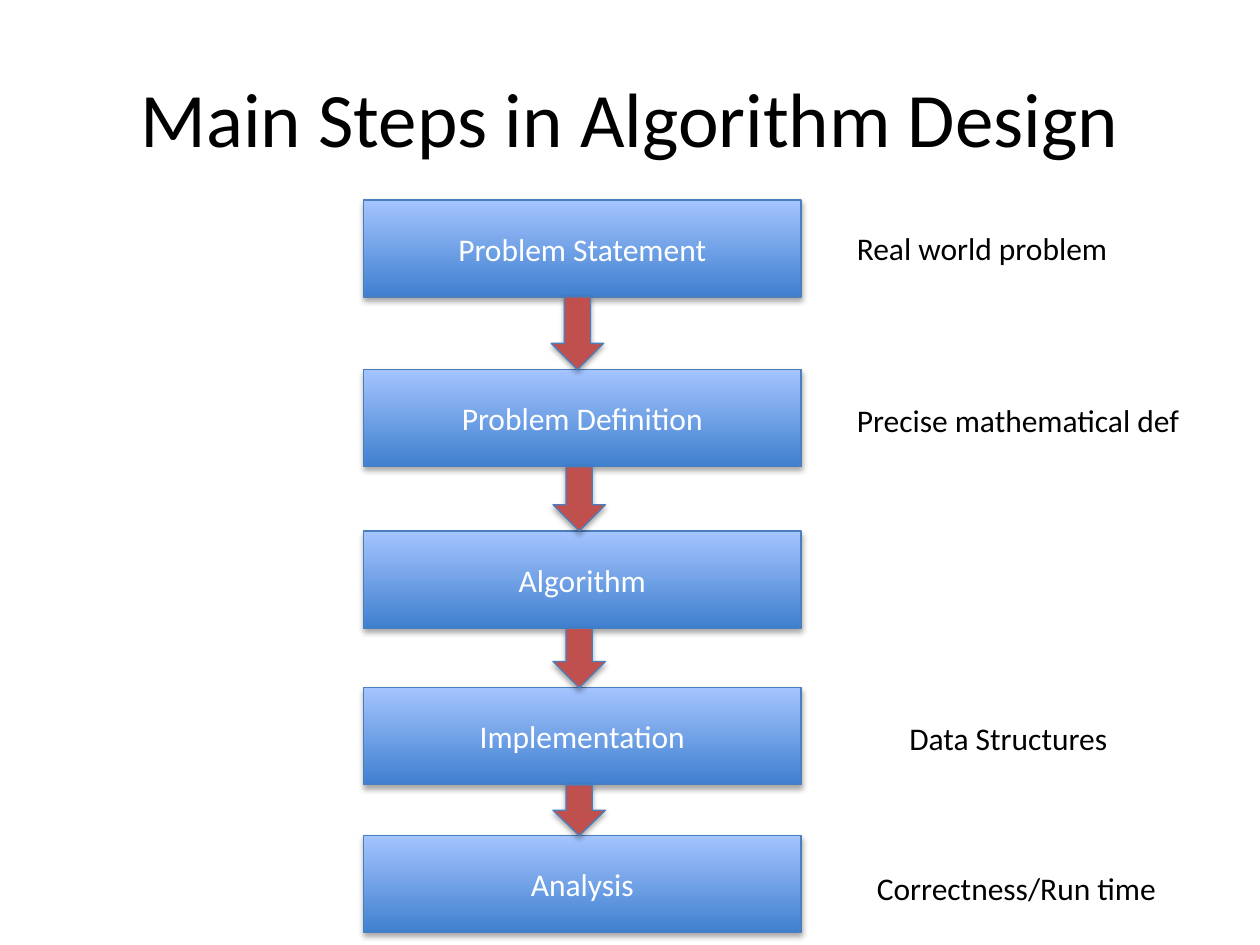
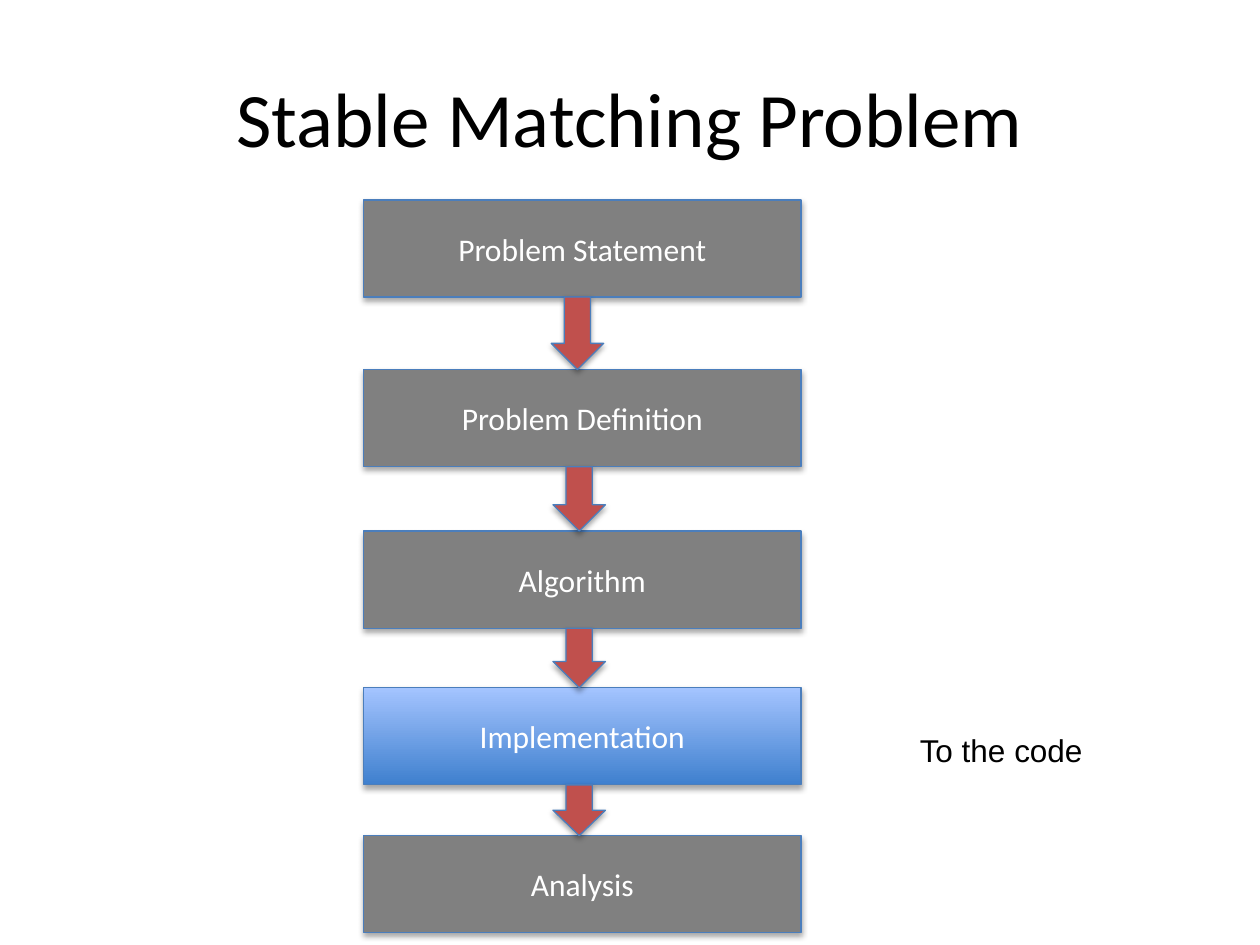
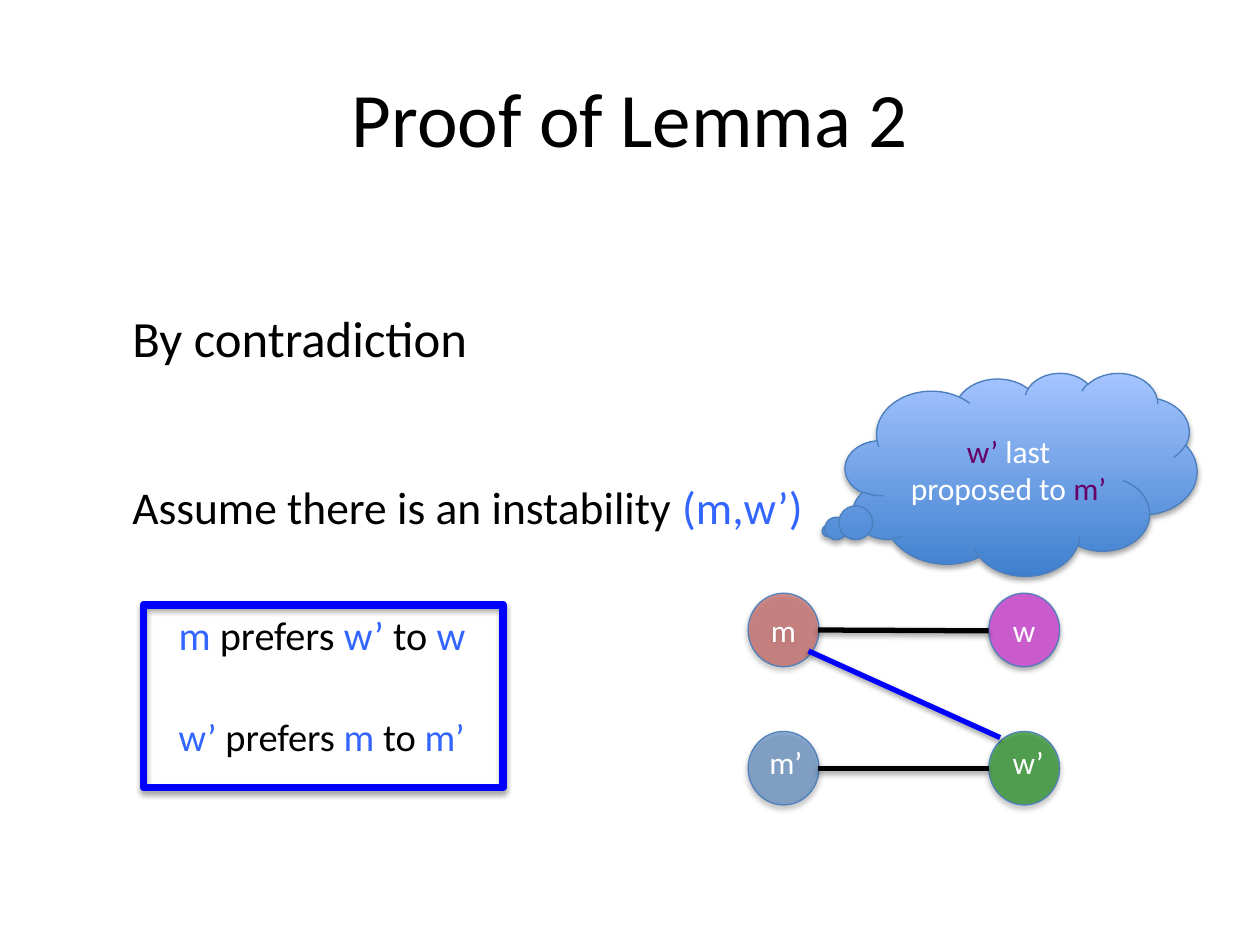
"""Build three slides on algorithm design and the stable matching proof."""
from lxml.etree import SubElement
from pptx import Presentation
from pptx.dml.color import RGBColor
from pptx.enum.shapes import MSO_CONNECTOR, MSO_SHAPE
from pptx.enum.text import MSO_ANCHOR, MSO_AUTO_SIZE, PP_ALIGN
from pptx.oxml.ns import qn
from pptx.util import Pt

BLACK, WHITE = "000000", "FFFFFF"
OUTLINE, ARROW, GREY = "4B7EBC", "C0504D", "808080"
GRADIENT = ("3F80CE", "A4C4FF")
VARIABLE, PURPLE, HIGHLIGHT = "3366FF", "660066", "0000FF"


def paint(fill, *colours):
    """Fill solidly with one hex colour, or upwards from the first of two to the second."""
    if len(colours) == 1:
        fill.solid()
        fill.fore_color.rgb = RGBColor.from_string(colours[0])
        return
    fill.gradient()
    fill.gradient_angle = 90
    for stop, colour in zip(fill.gradient_stops, colours):
        stop.color.rgb = RGBColor.from_string(colour)


def write(target, size, runs, font="Calibri"):
    """Add (text, colour) runs to the first paragraph of a shape."""
    paragraph = target.text_frame.paragraphs[0]
    for text, colour in runs:
        run = paragraph.add_run()
        run.text = text
        run.font.size = Pt(size)
        run.font.name = font
        paint(run.font.fill, colour)


deck = Presentation()
deck.slide_width, deck.slide_height = Pt(720), Pt(540)

slides = []
for heading in ("Main Steps in Algorithm Design", "Stable Matching Problem", "Proof of Lemma 2"):
    slide = deck.slides.add_slide(deck.slide_layouts[5])
    title = slide.shapes.title
    title.left, title.top, title.width, title.height = Pt(36), Pt(21.6), Pt(648), Pt(90)
    title.text_frame.vertical_anchor = MSO_ANCHOR.MIDDLE
    title.text_frame.paragraphs[0].alignment = PP_ALIGN.CENTER
    write(title, 44, [(heading, BLACK)])
    slides.append(slide)
steps_slide, matching_slide, proof_slide = slides

STEP_HEIGHT = 55.5
STEPS = [("Problem Statement", 114.25), ("Problem Definition", 211.25), ("Algorithm", 303.5),
         ("Implementation", 393), ("Analysis", 477.5)]
for slide, active in ((steps_slide, [name for name, top in STEPS]),
                      (matching_slide, ["Implementation"])):
    for name, top in STEPS:
        step = slide.shapes.add_shape(MSO_SHAPE.RECTANGLE, Pt(207.75), Pt(top), Pt(250), Pt(STEP_HEIGHT))
        paint(step.fill, *(GRADIENT if name in active else [GREY]))
        paint(step.line.fill, OUTLINE)
        step.line.width = Pt(0.75)
        write(step, 18, [(name, WHITE)])
    for index, ((name, top), (following, end)) in enumerate(zip(STEPS, STEPS[1:])):
        start = top + STEP_HEIGHT
        arrow = slide.shapes.add_shape(MSO_SHAPE.DOWN_ARROW, Pt(316 if index else 315), Pt(start),
                                       Pt(30), Pt(end - start))
        paint(arrow.fill, ARROW)
        paint(arrow.line.fill, OUTLINE)
        arrow.line.width = Pt(0.75)

PEOPLE = [("m", 427.5, 339, ARROW, 60), ("m’", 427.5, 418, "4F81BD", 60),
          ("w’", 565, 418, "008000", 60), ("w", 565, 339, "C95BCD", 100)]
for name, left, top, colour, opacity in PEOPLE:
    person = proof_slide.shapes.add_shape(MSO_SHAPE.OVAL, Pt(left), Pt(top), Pt(40.5), Pt(42))
    paint(person.fill, colour)
    paint(person.line.fill, OUTLINE)
    person.line.width = Pt(0.75)
    for tint, percent in zip(person.element.spPr.iter(qn("a:srgbClr")), (opacity, 94)):
        SubElement(tint, qn("a:alpha")).set("val", str(percent * 1000))
    if len(name) == 1:
        write(person, 18, [(name, WHITE)])

for x1, y1, x2, y2, colour in ((467.5, 360, 565, 360.5, BLACK), (467.5, 439, 565, 439, BLACK),
                               (462, 372, 571.5, 421.5, HIGHLIGHT)):
    pair = proof_slide.shapes.add_connector(MSO_CONNECTOR.STRAIGHT, Pt(x1), Pt(y1), Pt(x2), Pt(y2))
    paint(pair.line.fill, colour)
    pair.line.width = Pt(3)

LABELS = [
    (steps_slide, 482.5, 127.5, 171.5, 29, 18, "Calibri", [("Real world problem", BLACK)]),
    (steps_slide, 482.5, 225.5, 222.5, 29, 18, "Calibri", [("Precise mathematical def", BLACK)]),
    (steps_slide, 512.5, 407.5, 140.5, 29, 18, "Calibri", [("Data Structures", BLACK)]),
    (steps_slide, 494, 493, 190, 29, 18, "Calibri", [("Correctness/Run time", BLACK)]),
    (matching_slide, 518.5, 414, 108.5, 29, 18, "Arial", [("To the code", BLACK)]),
    (proof_slide, 68.5, 171.5, 208, 42.5, 29, "Calibri", [("By contradiction", BLACK)]),
    (proof_slide, 432.5, 421, 34, 29, 18, "Calibri", [("m’", WHITE)]),
    (proof_slide, 571.5, 421, 32.5, 29, 18, "Calibri", [("w’", WHITE)]),
    (proof_slide, 68.5, 270, 407.5, 39, 26, "Calibri",
     [("Assume there is an instability ", BLACK), ("(m,w’)", VARIABLE)]),
    (proof_slide, 95, 345.5, 188.5, 35.5, 23, "Calibri",
     [("m", VARIABLE), (" prefers ", BLACK), ("w’ ", VARIABLE), ("to ", BLACK), ("w", VARIABLE)]),
    (proof_slide, 95, 404, 186.5, 34, 22, "Calibri",
     [("w’", VARIABLE), (" prefers ", BLACK), ("m", VARIABLE), (" to ", BLACK), ("m’", VARIABLE)]),
]
for slide, left, top, width, height, size, font, runs in LABELS:
    label = slide.shapes.add_textbox(Pt(left), Pt(top), Pt(width), Pt(height))
    label.text_frame.word_wrap = False
    label.text_frame.auto_size = MSO_AUTO_SIZE.SHAPE_TO_FIT_TEXT
    write(label, size, runs, font)

thought = proof_slide.shapes.add_shape(MSO_SHAPE.CLOUD_CALLOUT, Pt(483), Pt(213), Pt(201), Pt(116))
thought.adjustments[0], thought.adjustments[1] = -0.55, 0.28
paint(thought.fill, *GRADIENT)
paint(thought.line.fill, OUTLINE)
thought.line.width = Pt(0.75)
write(thought, 18, [("w’", PURPLE), (" last proposed to ", WHITE), ("m’", PURPLE)])

preferences = proof_slide.shapes.add_shape(MSO_SHAPE.RECTANGLE, Pt(82), Pt(345.5), Pt(205.5), Pt(104.5))
preferences.fill.background()
paint(preferences.line.fill, HIGHLIGHT)
preferences.line.width = Pt(4.5)

deck.save("out.pptx")
